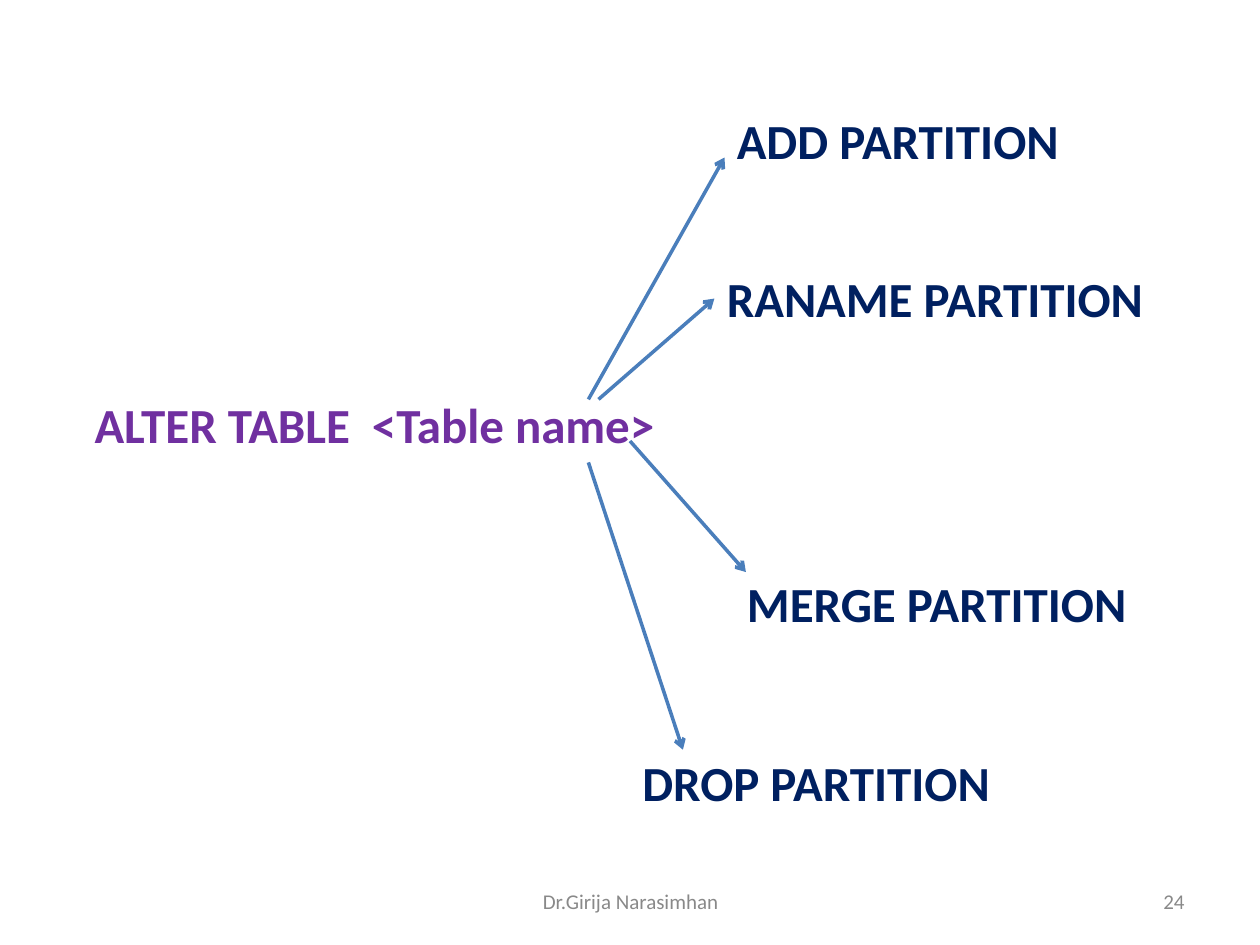
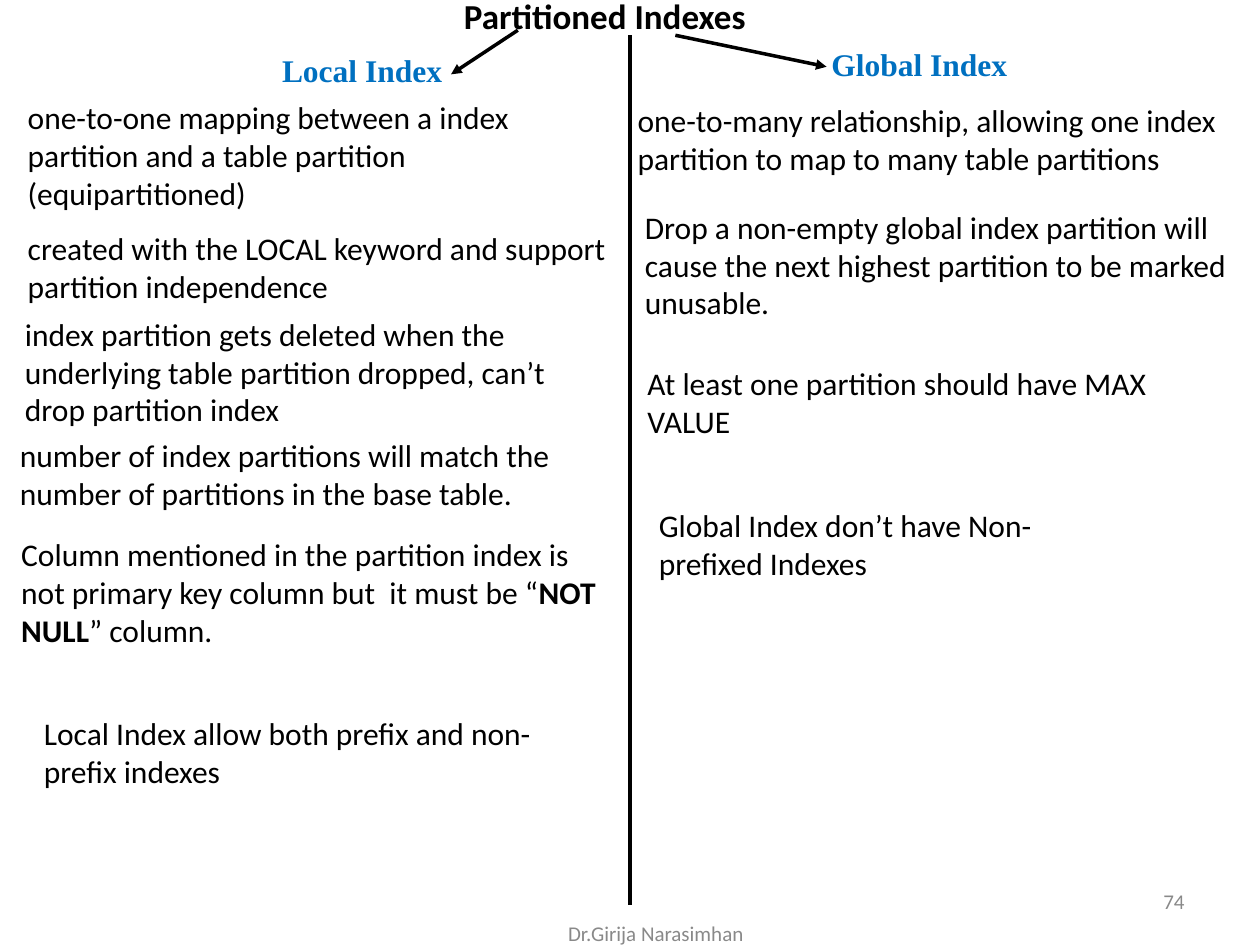
import pptx
import pptx.dml.color
import pptx.enum.shapes
import pptx.enum.text
import pptx.oxml
import pptx.oxml.ns
import pptx.util
from dataclasses import dataclass

# Shared scale, colours and fonts
PX = 9144  # 100 px to the inch
BLACK, GREY, PURPLE, NAVY, SKY, STEEL = (
    "000000", "898989", "7030A0", "002060", "0070C0", "4A7EBB")
SANS, SERIF = "Calibri", "Times New Roman"
LEFT = pptx.enum.text.PP_ALIGN.LEFT
CENTER = pptx.enum.text.PP_ALIGN.CENTER
RIGHT = pptx.enum.text.PP_ALIGN.RIGHT
TOP = pptx.enum.text.MSO_ANCHOR.TOP
MIDDLE = pptx.enum.text.MSO_ANCHOR.MIDDLE
NAMESPACE = pptx.oxml.ns.nsdecls("a")
TEXT_SHADOW = (
    f'<a:effectLst {NAMESPACE}><a:outerShdw blurRad="38100" dist="38100" dir="2700000" algn="tl">'
    '<a:srgbClr val="000000"><a:alpha val="43000"/></a:srgbClr></a:outerShdw></a:effectLst>')


@dataclass
class Box:
    left: int
    top: int
    width: int
    height: int


@dataclass
class Label:
    text: str
    box: Box


@dataclass
class Line:
    start: tuple[int, int]
    end: tuple[int, int]


def px(length: int) -> pptx.util.Emu:
    return pptx.util.Emu(length * PX)


def rgb(color: str) -> pptx.dml.color.RGBColor:
    return pptx.dml.color.RGBColor.from_string(color)


def write(slide, text: str, box: Box, holder=None, size=18, font=SANS, color=BLACK,
          bold=False, align=LEFT, anchor=TOP, gap=0, shadow=False) -> None:
    """Write lines of text in a placeholder or a new box; ** marks bold words."""
    place = [px(n) for n in (box.left, box.top, box.width, box.height)]
    if holder is None:
        holder = slide.shapes.add_textbox(*place)
    holder.left, holder.top, holder.width, holder.height = place
    frame = holder.text_frame
    frame.word_wrap = True
    frame.auto_size = pptx.enum.text.MSO_AUTO_SIZE.NONE
    frame.vertical_anchor = anchor
    for number, line in enumerate(text.split("\n")):
        paragraph = frame.add_paragraph() if number else frame.paragraphs[0]
        properties = paragraph._p.get_or_add_pPr()
        properties.set("marL", "0")
        properties.set("indent", "0")
        properties.append(pptx.oxml.parse_xml(f"<a:buNone {NAMESPACE}/>"))
        paragraph.alignment = align
        paragraph.space_before = pptx.util.Pt(gap if number else 0)
        for part, words in enumerate(line.split("**")):
            run = paragraph.add_run()
            run.text = words
            run.font.size = pptx.util.Pt(size)
            run.font.bold = bold or part % 2 == 1
            run.font.name = font
            run.font.color.rgb = rgb(color)
            if shadow:
                fill = run._r.rPr.find(pptx.oxml.ns.qn("a:solidFill"))
                fill.addnext(pptx.oxml.parse_xml(TEXT_SHADOW))


def draw_line(slide, line: Line, color: str, head: str = "none") -> None:
    connector = slide.shapes.add_connector(
        pptx.enum.shapes.MSO_CONNECTOR.STRAIGHT,
        *(px(n) for n in line.start + line.end))
    connector.line.color.rgb = rgb(color)
    connector.line.width = pptx.util.Pt(2)
    connector.line._get_or_add_ln().append(
        pptx.oxml.parse_xml(f'<a:tailEnd {NAMESPACE} type="{head}"/>'))
    connector._element.spPr.append(pptx.oxml.parse_xml(f"<a:effectLst {NAMESPACE}/>"))


def add_footer(slide, page: int, left: int = 342, top: int = 695) -> None:
    write(slide, "Dr.Girija Narasimhan", Box(left, top, 317, 40),
          size=12, color=GREY, align=CENTER, anchor=MIDDLE)
    write(slide, str(page), Box(717, 695, 233, 40),
          size=12, color=GREY, align=RIGHT, anchor=MIDDLE)


# ALTER TABLE and its four partition actions
ACTIONS = [
    Label("ADD PARTITION", Box(575, 83, 367, 57)),
    Label("RANAME PARTITION", Box(567, 208, 375, 57)),
    Label("MERGE PARTITION", Box(583, 450, 375, 57)),
    Label("DROP PARTITION", Box(500, 592, 417, 57)),
]
ACTION_ARROWS = [
    Line((467, 317), (575, 125)),
    Line((475, 317), (567, 237)),
    Line((500, 350), (592, 454)),
    Line((467, 367), (542, 595)),
]


def build_alter_table(deck) -> None:
    slide = deck.slides.add_slide(deck.slide_layouts[5])
    add_footer(slide, 24)
    write(slide, "ALTER TABLE  <Table name>", Box(65, 308, 480, 57),
          slide.shapes.title, size=28, color=PURPLE, bold=True)
    for action in ACTIONS:
        write(slide, action.text, action.box, size=28, color=NAVY, bold=True, shadow=True)
    for arrow in ACTION_ARROWS:
        draw_line(slide, arrow, STEEL, "arrow")


# Local and global indexes side by side
HEADINGS = [
    Label("Local Index", Box(214, 36, 160, 40)),
    Label("Global Index", Box(650, 31, 175, 40)),
]
HEADING_ARROWS = [Line((411, 24), (358, 59)), Line((536, 28), (656, 53))]
DIVIDER = Line((500, 28), (500, 718))
LOCAL_NOTES = [
    Label("one-to-one mapping between a index partition and a table partition (equipartitioned)\n"
          "created with the LOCAL keyword and support partition independence",
          Box(12, 73, 482, 204)),
    Label("index partition gets deleted when the underlying table partition dropped, "
          "can’t drop partition index", Box(10, 245, 473, 100)),
    Label("number of index partitions will match the number of partitions in the base table.",
          Box(6, 341, 477, 70)),
    Label("Column mentioned in the partition index is not primary key column but  "
          "it must be “**NOT NULL**” column.", Box(7, 420, 479, 100)),
    Label("Local Index allow both prefix and non-prefix indexes", Box(25, 562, 425, 70)),
]
GLOBAL_NOTES = [
    Label("one-to-many relationship, allowing one index partition to map to many table partitions",
          Box(496, 75, 512, 100)),
    Label("Drop a non-empty global index partition will cause the next highest partition "
          "to be marked unusable.", Box(502, 160, 500, 100)),
    Label("At least one partition should have MAX VALUE", Box(504, 284, 441, 70)),
    Label("Global Index don’t have Non-prefixed Indexes", Box(513, 397, 372, 70)),
]


def build_partitioned_indexes(deck) -> None:
    slide = deck.slides.add_slide(deck.slide_layouts[3])
    add_footer(slide, 74, left=362, top=721)
    write(slide, "Partitioned Indexes", Box(340, -9, 280, 44),
          slide.shapes.title, size=20, bold=True, align=CENTER)
    for heading in HEADINGS:
        write(slide, heading.text, heading.box, font=SERIF, color=SKY, bold=True)
    for arrow in HEADING_ARROWS:
        draw_line(slide, arrow, BLACK, "triangle")
    draw_line(slide, DIVIDER, BLACK)
    # The first note of each column fills that column's body placeholder
    for column, notes in enumerate((LOCAL_NOTES, GLOBAL_NOTES), start=1):
        body = slide.placeholders[column]
        for number, note in enumerate(notes):
            write(slide, note.text, note.box, None if number else body, gap=10)


def main() -> None:
    deck = pptx.Presentation()
    deck.slide_width, deck.slide_height = px(1000), px(750)
    build_alter_table(deck)
    build_partitioned_indexes(deck)
    deck.save("out.pptx")


if __name__ == "__main__":
    main()
